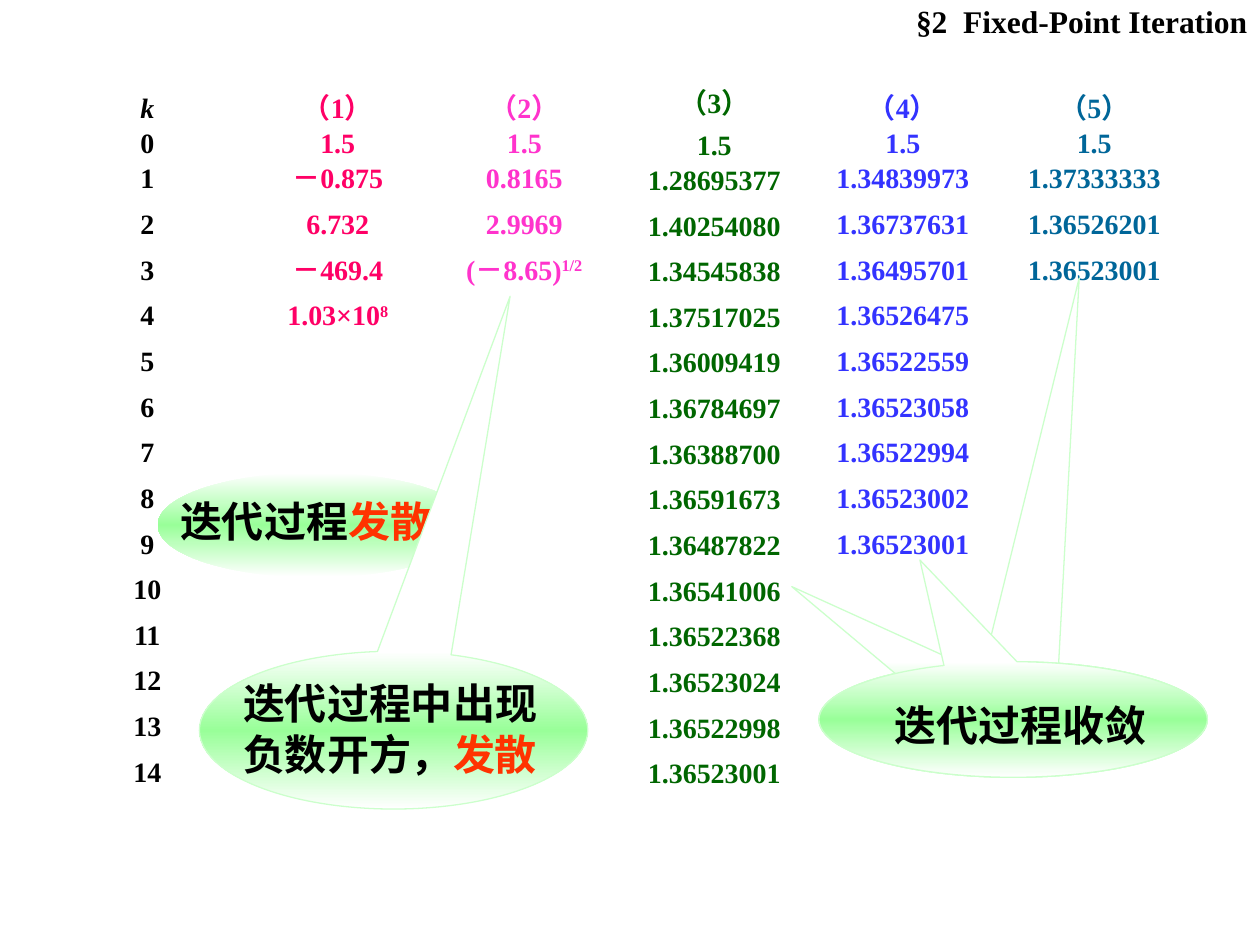
from copy import deepcopy

from pptx import Presentation
from pptx.dml.color import RGBColor
from pptx.enum import shapes, text
from pptx.util import Cm, Pt

BLACK = RGBColor(0x00, 0x00, 0x00)
WHITE = RGBColor(0xFF, 0xFF, 0xFF)
ROSE = RGBColor(0xFF, 0x00, 0x66)
MAGENTA = RGBColor(0xFF, 0x33, 0xCC)
GREEN = RGBColor(0x00, 0x66, 0x00)
BLUE = RGBColor(0x33, 0x33, 0xFF)
TEAL = RGBColor(0x00, 0x66, 0x99)
RED = RGBColor(0xFF, 0x33, 0x00)
MINT = RGBColor(0x99, 0xFF, 0x99)
PALE_MINT = RGBColor(0xCC, 0xFF, 0xCC)

FONT = "Times New Roman"
SUPER = {"baseline": 30000}
ITALIC = {"italic": True}
ALERT = {"color": RED}

TITLE = "§2  Fixed-Point Iteration"

STANDARD_TOPS = (1.7, 2.41, 3.12)
GREEN_TOPS = (1.6, 2.44, 3.15)
ROW_PITCH = 0.92
START_HEIGHT = 0.71

COLUMNS = [
    (12.7, 3.4, GREEN, GREEN_TOPS, [
        "（3）", "1.5", "1.28695377", "1.40254080", "1.34545838", "1.37517025",
        "1.36009419", "1.36784697", "1.36388700", "1.36591673", "1.36487822",
        "1.36541006", "1.36522368", "1.36523024", "1.36522998", "1.36523001"]),
    (1.32, 3.3, BLACK, STANDARD_TOPS,
        [[("k", ITALIC)]] + [str(k) for k in range(15)]),
    (5.16, 3.3, ROSE, STANDARD_TOPS, [
        "（1）", "1.5", "－0.875", "6.732", "－469.4",
        [("1.03×10", {}), ("8", SUPER)]]),
    (8.92, 3.3, MAGENTA, STANDARD_TOPS, [
        "（2）", "1.5", "0.8165", "2.9969", [("(－8.65)", {}), ("1/2", SUPER)]]),
    (16.55, 3.3, BLUE, STANDARD_TOPS, [
        "（4）", "1.5", "1.34839973", "1.36737631", "1.36495701", "1.36526475",
        "1.36522559", "1.36523058", "1.36522994", "1.36523002", "1.36523001"]),
    (20.41, 3.3, TEAL, STANDARD_TOPS, [
        "（5）", "1.5", "1.37333333", "1.36526201", "1.36523001"]),
]

VERDICTS = [
    {"bubble": (3.18, 9.53, 6.35, 2.11), "pointers": [(0.03, -1.83)],
     "outline": None, "label": (3.38, 9.86, 5.64, 1.27), "wrap": False,
     "lines": [[("迭代过程", {}), ("发散", ALERT)]]},
    {"bubble": (4.02, 13.13, 7.83, 3.18), "pointers": [(0.3, -2.75)],
     "outline": PALE_MINT, "label": (4.65, 13.54, 6.78, 2.31), "wrap": True,
     "lines": ["迭代过程中出现", [("负数开方，", {}), ("发散", ALERT)]]},
    {"bubble": (16.51, 13.34, 7.83, 2.33),
     "pointers": [(0.17, -3.82), (-0.57, -1.15), (-0.24, -1.38)],
     "outline": PALE_MINT, "label": (17.78, 13.97, 5.64, 1.27), "wrap": False,
     "lines": ["迭代过程收敛"]},
]


def add_text(parent, box, lines, size=16, color=BLACK, align=None,
             anchor=text.MSO_ANCHOR.TOP, wrap=True):
    frame = parent.shapes.add_textbox(*map(Cm, box)).text_frame
    frame.word_wrap = wrap
    frame.vertical_anchor = anchor
    for index, line in enumerate(lines):
        paragraph = frame.add_paragraph() if index else frame.paragraphs[0]
        paragraph.alignment = align
        for words, style in [(line, {})] if isinstance(line, str) else line:
            run = paragraph.add_run()
            run.text = words
            run.font.name = FONT
            run.font.size = Pt(size)
            run.font.bold = True
            run.font.italic = style.get("italic")
            run.font.color.rgb = style.get("color", color)
            if "baseline" in style:
                run.font._element.set("baseline", str(style["baseline"]))


def add_bubble(parent, box, pointer, outline):
    bubble = parent.shapes.add_shape(
        shapes.MSO_SHAPE.OVAL_CALLOUT, *map(Cm, box))
    bubble.shadow.inherit = False
    bubble.adjustments[0], bubble.adjustments[1] = pointer
    bubble.fill.gradient()
    bubble.fill.gradient_angle = 90
    first_stop = bubble.fill.gradient_stops[0]._gs
    first_stop.addnext(deepcopy(first_stop))
    for stop, position, color in zip(
            bubble.fill.gradient_stops, (0, 0.5, 1), (WHITE, MINT, WHITE)):
        stop.position = position
        stop.color.rgb = color
    if outline is None:
        bubble.line.fill.background()
    else:
        bubble.line.color.rgb = outline
        bubble.line.width = Pt(0.75)


def main():
    deck = Presentation()
    deck.slide_width, deck.slide_height = Cm(25.4), Cm(19.05)
    slide = deck.slides.add_slide(deck.slide_layouts[6])

    for left, width, color, (head, start, first), values in COLUMNS:
        column = slide.shapes.add_group_shape()
        tops = [head, start] + [first + ROW_PITCH * k for k in range(len(values) - 2)]
        for row, (top, value) in enumerate(zip(tops, values)):
            height = START_HEIGHT if row < 2 else ROW_PITCH
            add_text(column, (left, top, width, height), [value],
                     color=color, align=text.PP_ALIGN.CENTER)

    add_text(slide, (17.35, 0, 8.05, 0.84), [TITLE], size=18,
             align=text.PP_ALIGN.RIGHT, anchor=text.MSO_ANCHOR.MIDDLE)

    for verdict in VERDICTS:
        group = slide.shapes.add_group_shape()
        for pointer in verdict["pointers"]:
            add_bubble(group, verdict["bubble"], pointer, verdict["outline"])
        add_text(group, verdict["label"], verdict["lines"], size=24,
                 wrap=verdict["wrap"])

    deck.save("out.pptx")


if __name__ == "__main__":
    main()
